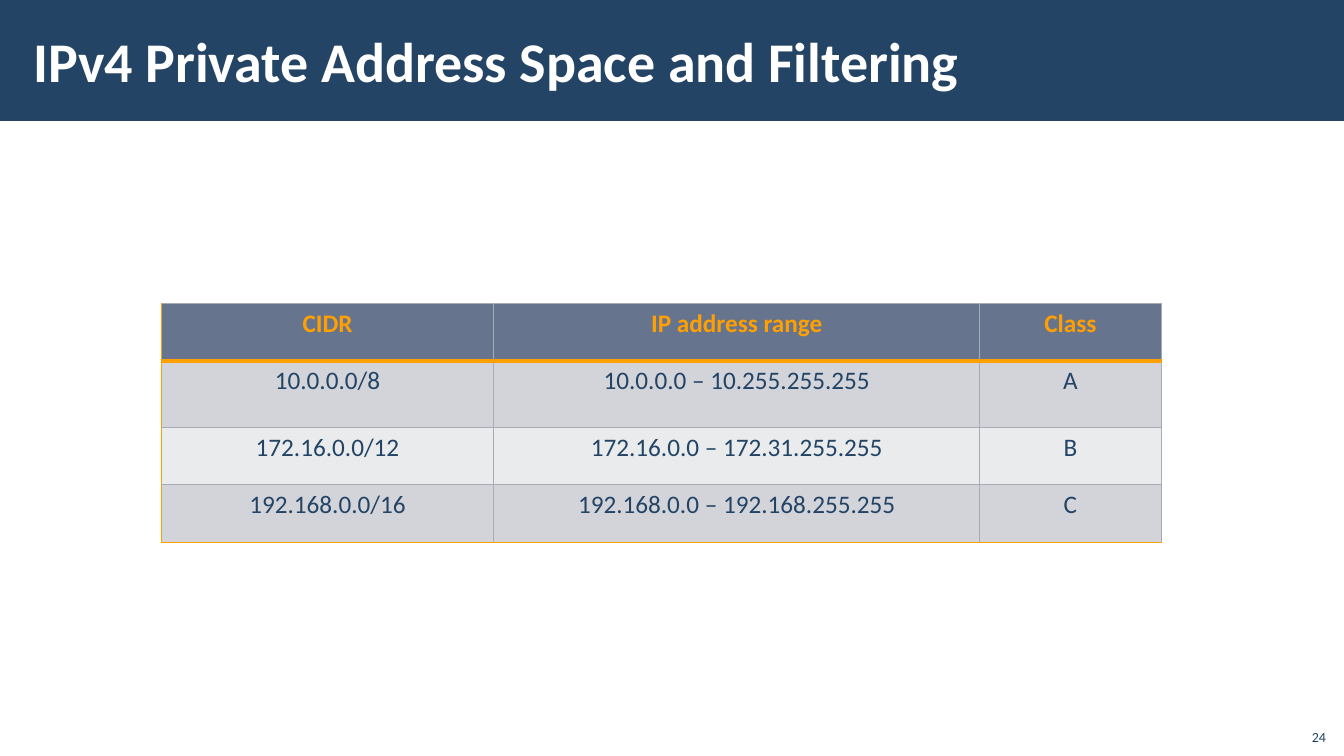
from lxml import etree
from pptx import Presentation
from pptx.dml.color import RGBColor
from pptx.enum.shapes import MSO_SHAPE
from pptx.enum.text import MSO_ANCHOR, MSO_AUTO_SIZE, PP_ALIGN
from pptx.oxml.ns import qn
from pptx.util import Inches, Pt

RECT = MSO_SHAPE.RECTANGLE
MIDDLE, BOTTOM = MSO_ANCHOR.MIDDLE, MSO_ANCHOR.BOTTOM
FIXED = MSO_AUTO_SIZE.NONE
LEFT, CENTER, RIGHT = PP_ALIGN.LEFT, PP_ALIGN.CENTER, PP_ALIGN.RIGHT
NAVY, GOLD, WHITE = "234465", "FFA000", "FFFFFF"
SLATE, DARK, LIGHT, GREY = "67748E", "D3D4DA", "E9EBEC", "A6ABB5"


def hue(code):
    return RGBColor.from_string(code)


def write(frame, text, size=18, color=NAVY, bold=False, align=CENTER):
    frame.text = text
    line = frame.paragraphs[0]
    line.alignment = align
    font = line.runs[0].font
    font.name, font.size, font.bold = "Calibri", Pt(size), bold
    font.color.rgb = hue(color)


deck = Presentation()
deck.slide_width, deck.slide_height = Inches(13.33), Inches(7.5)
col, row = deck.slide_width / 100, deck.slide_height / 100
slide = deck.slides.add_slide(deck.slide_layouts[5])
shapes = slide.shapes

band = shapes.add_shape(RECT, 0, 0, deck.slide_width, int(16 * row))
band.shadow.inherit = False
band.fill.solid()
band.fill.fore_color.rgb = hue(NAVY)
band.line.fill.background()
shapes._spTree.insert(2, band._element)

title = shapes.title
title.left, title.top = int(1.58 * col), int(1.47 * row)
title.width, title.height = int(79.7 * col), int(12.9 * row)
frame = title.text_frame
write(frame, "IPv4 Private Address Space and Filtering",
      size=40, color=WHITE, bold=True, align=LEFT)
frame.auto_size, frame.word_wrap = FIXED, True
frame.vertical_anchor = MIDDLE
frame.margin_left = frame.margin_right = Inches(0.12)
frame.margin_top = frame.margin_bottom = Inches(0.04)

page = shapes.add_textbox(int(96.4 * col), int(94.9 * row),
                          int(3 * col), int(4.3 * row))
page.text_frame.word_wrap = True
page.text_frame.vertical_anchor = BOTTOM
write(page.text_frame, "24", size=10, align=RIGHT)

data = [
    ("CIDR", "IP address range", "Class"),
    ("10.0.0.0/8", "10.0.0.0 – 10.255.255.255", "A"),
    ("172.16.0.0/12", "172.16.0.0 – 172.31.255.255", "B"),
    ("192.168.0.0/16", "192.168.0.0 – 192.168.255.255", "C"),
]
widths = [24.75, 36.15, 13.5]
heights = [7.6, 8.8, 7.6, 7.6]
fills = [SLATE, DARK, LIGHT, DARK]
last = len(data) - 1

table = shapes.add_table(len(data), len(widths), int(12 * col), int(40.13 * row),
                         int(sum(widths) * col), int(sum(heights) * row)).table
for c, width in enumerate(widths):
    table.columns[c].width = int(width * col)

for r, texts in enumerate(data):
    table.rows[r].height = int(heights[r] * row)
    for c, text in enumerate(texts):
        cell = table.cell(r, c)
        head = r == 0
        write(cell.text_frame, text, color=GOLD if head else NAVY, bold=head)
        rule = (GOLD, 3)
        thin = (GREY, 0.75)
        edge = (GOLD, 1)
        sides = {
            "L": edge if c == 0 else thin,
            "R": thin,
            "T": rule if r == 1 else thin,
            "B": rule if head else edge if r == last else thin,
        }
        props = cell._tc.get_or_add_tcPr()
        for side, (color, size) in sides.items():
            line = etree.SubElement(props, qn("a:ln" + side), w=str(Pt(size)))
            paint = etree.SubElement(line, qn("a:solidFill"))
            etree.SubElement(paint, qn("a:srgbClr"), val=color)
        cell.fill.solid()
        cell.fill.fore_color.rgb = hue(fills[r])

deck.save("out.pptx")
